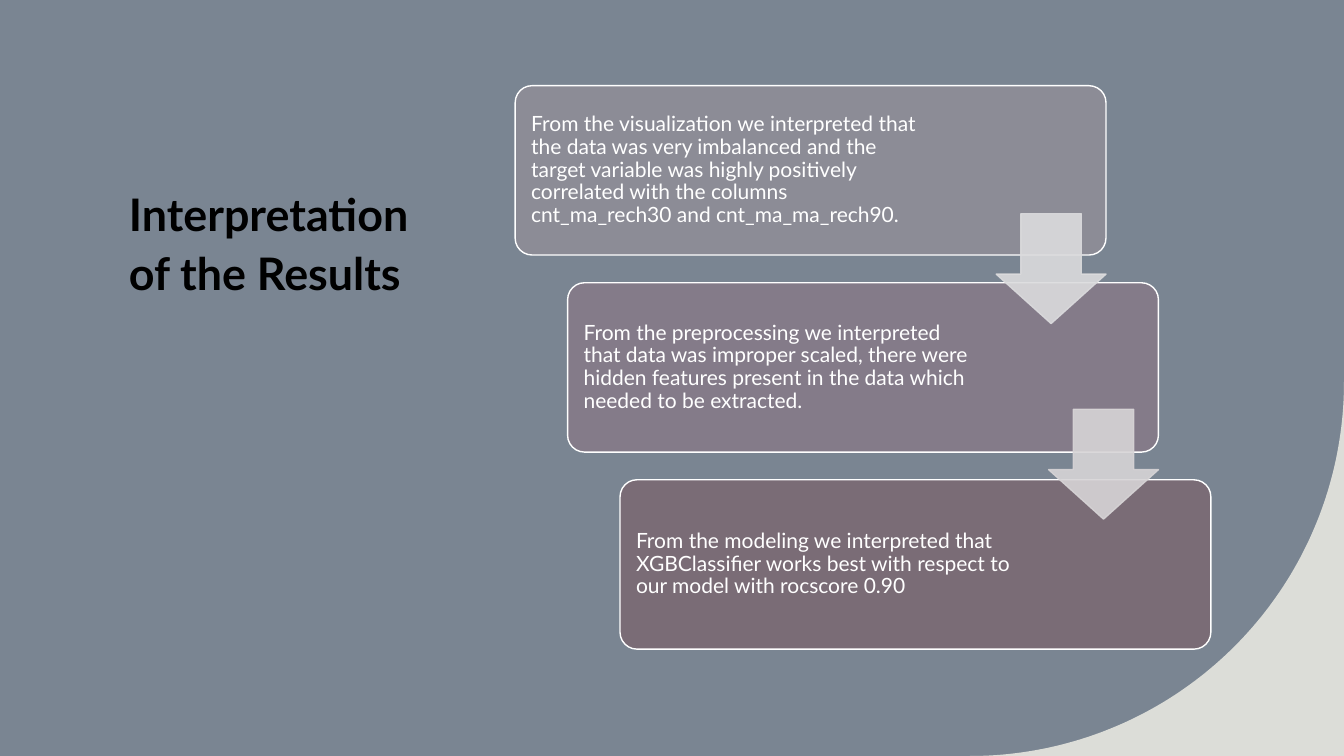
import math
from dataclasses import dataclass

import pptx
import pptx.dml.color
import pptx.enum.shapes
import pptx.enum.text
import pptx.oxml
import pptx.oxml.ns
import pptx.shapes.autoshape
import pptx.slide
import pptx.text.text
import pptx.util

Inches = pptx.util.Inches
RGBColor = pptx.dml.color.RGBColor
Shape = pptx.shapes.autoshape.Shape
Slide = pptx.slide.Slide
MSO_SHAPE = pptx.enum.shapes.MSO_SHAPE
MSO_ANCHOR = pptx.enum.text.MSO_ANCHOR
PP_ALIGN = pptx.enum.text.PP_ALIGN

SLATE = RGBColor(0x7A, 0x85, 0x92)
CREAM = RGBColor(0xDC, 0xDD, 0xD8)
BLACK = RGBColor(0x00, 0x00, 0x00)
WHITE = RGBColor(0xFF, 0xFF, 0xFF)
GREY = RGBColor(0x8C, 0x8C, 0x96)
MAUVE = RGBColor(0x84, 0x7B, 0x89)
PLUM = RGBColor(0x7A, 0x6C, 0x76)
PALE_GREY = RGBColor(0xDB, 0xDB, 0xDD)
PALE_MAUVE = RGBColor(0xD7, 0xD4, 0xD6)

SLIDE_WIDTH, SLIDE_HEIGHT = 13.33, 7.5
CORNER_RADIUS = 3.71
CARD_LEFT, CARD_TOP, CARD_WIDTH, CARD_HEIGHT = 5.11, 0.85, 5.86, 1.68
ARROW_LEFT, ARROW_TOP, ARROW_SIZE = 9.88, 2.12, 1.09
STEP_X, CARD_STEP_Y, ARROW_STEP_Y = 0.52, 1.955, 1.94


@dataclass(frozen=True)
class Card:
    text: str
    fill: RGBColor
    right_inset: float


CARDS = [
    Card(
        "From the visualization we interpreted that the data was very imbalanced "
        "and the target variable was highly positively correlated with the columns "
        "cnt_ma_rech30 and cnt_ma_ma_rech90.",
        GREY,
        1.82,
    ),
    Card(
        "From the preprocessing we interpreted that data was improper scaled, there "
        "were hidden features present in the data which needed to be extracted.",
        MAUVE,
        1.72,
    ),
    Card(
        "From the modeling we interpreted that XGBClassifier works best with "
        "respect to our model with rocscore 0.90",
        PLUM,
        1.72,
    ),
]
ARROW_COLORS = [PALE_GREY, PALE_MAUVE]


def apply_format(target: object, values: dict[str, object]) -> None:
    for name, value in values.items():
        setattr(target, name, value)


def write_text(
    shape: Shape, text: str, frame_format: dict, paragraph_format: dict, font_format: dict
) -> None:
    frame = shape.text_frame
    apply_format(frame, {"word_wrap": True, **frame_format})
    paragraph = frame.paragraphs[0]
    apply_format(paragraph, {"alignment": PP_ALIGN.LEFT, **paragraph_format})
    run = paragraph.add_run()
    run.text = text
    color = font_format["color"]
    apply_format(
        run.font,
        {"name": "Lato", **{key: value for key, value in font_format.items() if key != "color"}},
    )
    run.font.color.rgb = color


def paint(shape: Shape, fill: RGBColor, line: RGBColor | None = None) -> None:
    shape.shadow.inherit = False
    shape.fill.solid()
    shape.fill.fore_color.rgb = fill
    if line is None:
        shape.line.fill.background()
    else:
        shape.line.color.rgb = line
        shape.line.width = pptx.util.Pt(1)


def set_opacity(shape: Shape, percent: int) -> None:
    for color in shape.element.spPr.iter(pptx.oxml.ns.qn("a:srgbClr")):
        alpha = color.makeelement(pptx.oxml.ns.qn("a:alpha"), {"val": str(percent * 1000)})
        color.append(alpha)


def draw_title(slide: Slide) -> None:
    title = slide.shapes.add_textbox(Inches(1.18), Inches(1.75), Inches(3.28), Inches(3.89))
    write_text(
        title,
        "Interpretation of the Results",
        {"vertical_anchor": MSO_ANCHOR.TOP},
        {"line_spacing": 1.1},
        {"size": pptx.util.Pt(32), "bold": True, "color": BLACK},
    )


def draw_corner(slide: Slide) -> None:
    center_x = SLIDE_WIDTH - CORNER_RADIUS
    center_y = SLIDE_HEIGHT - CORNER_RADIUS
    arc = [
        (
            Inches(center_x + CORNER_RADIUS * math.cos(math.radians(angle))),
            Inches(center_y + CORNER_RADIUS * math.sin(math.radians(angle))),
        )
        for angle in range(91)
    ]
    builder = slide.shapes.build_freeform(Inches(SLIDE_WIDTH), Inches(SLIDE_HEIGHT))
    builder.add_line_segments(arc, close=True)
    paint(builder.convert_to_shape(), CREAM)


def draw_card(slide: Slide, index: int, card: Card) -> None:
    shape = slide.shapes.add_shape(
        MSO_SHAPE.ROUNDED_RECTANGLE,
        Inches(CARD_LEFT + index * STEP_X),
        Inches(CARD_TOP + index * CARD_STEP_Y),
        Inches(CARD_WIDTH),
        Inches(CARD_HEIGHT),
    )
    shape.adjustments[0] = 0.1
    paint(shape, card.fill, WHITE)
    write_text(
        shape,
        card.text,
        {
            "vertical_anchor": MSO_ANCHOR.MIDDLE,
            "margin_left": Inches(0.11),
            "margin_top": Inches(0.11),
            "margin_right": Inches(card.right_inset),
            "margin_bottom": Inches(0.11),
        },
        {"line_spacing": 0.9, "space_after": pptx.util.Pt(6)},
        {"size": pptx.util.Pt(15), "color": WHITE},
    )


def draw_arrow(slide: Slide, index: int, color: RGBColor) -> None:
    shape = slide.shapes.add_shape(
        MSO_SHAPE.DOWN_ARROW,
        Inches(ARROW_LEFT + index * STEP_X),
        Inches(ARROW_TOP + index * ARROW_STEP_Y),
        Inches(ARROW_SIZE),
        Inches(ARROW_SIZE),
    )
    shape.adjustments[0] = 0.55
    shape.adjustments[1] = 0.45
    paint(shape, color, color)
    set_opacity(shape, 90)


def main() -> None:
    presentation = pptx.Presentation()
    apply_format(
        presentation,
        {"slide_width": Inches(SLIDE_WIDTH), "slide_height": Inches(SLIDE_HEIGHT)},
    )
    slide = presentation.slides.add_slide(presentation.slide_layouts[6])
    slide.background.fill.solid()
    slide.background.fill.fore_color.rgb = SLATE
    draw_title(slide)
    draw_corner(slide)
    for index, card in enumerate(CARDS):
        draw_card(slide, index, card)
    for index, color in enumerate(ARROW_COLORS):
        draw_arrow(slide, index, color)
    presentation.save("out.pptx")


if __name__ == "__main__":
    main()
